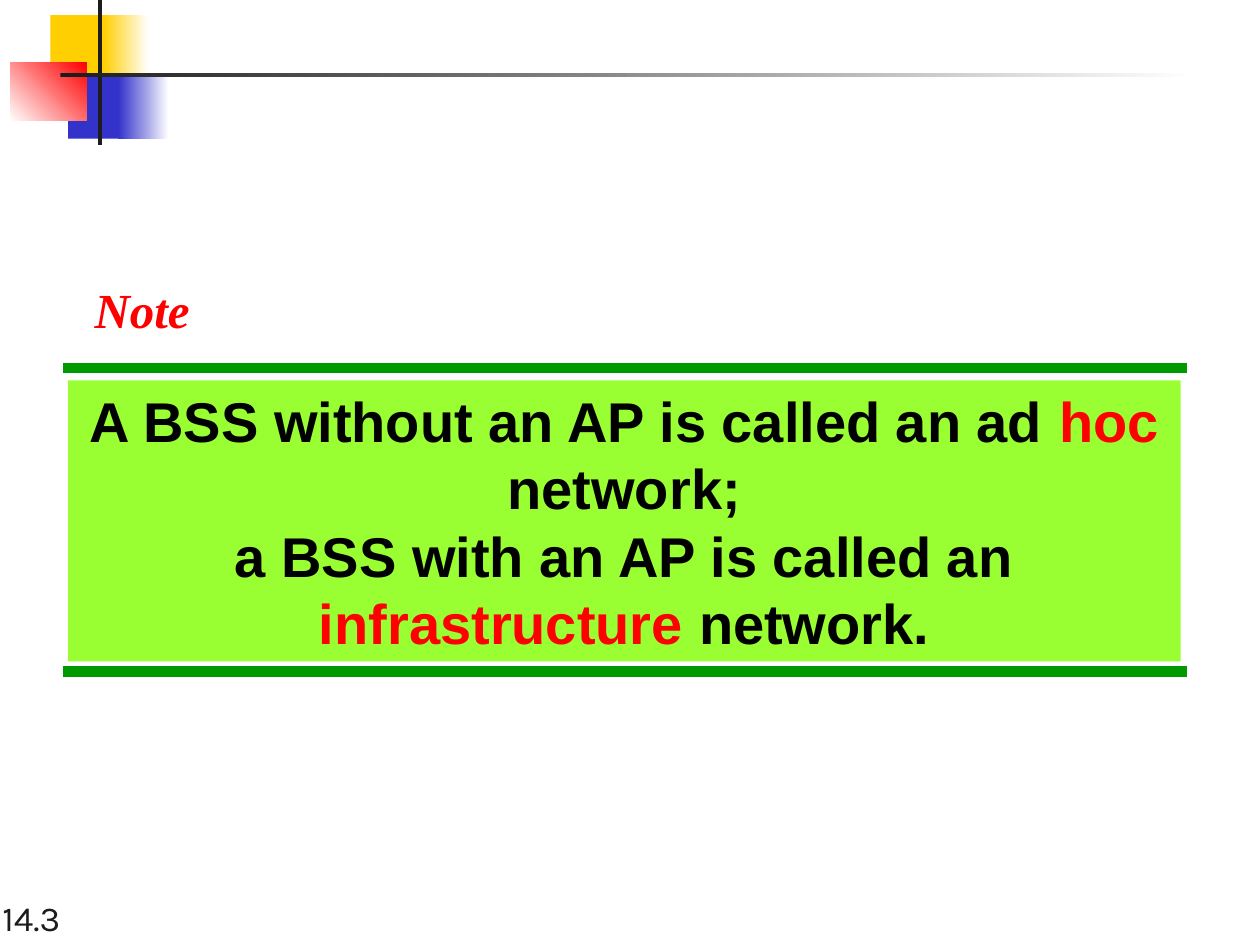
"""Builds a note slide comparing ad hoc and infrastructure networks."""
from dataclasses import dataclass

from lxml.etree import SubElement
from pptx import Presentation
from pptx.dml.color import RGBColor
from pptx.enum.shapes import MSO_CONNECTOR, MSO_SHAPE
from pptx.enum.text import MSO_ANCHOR, MSO_AUTO_SIZE, PP_ALIGN
from pptx.oxml.ns import qn
from pptx.util import Inches, Pt


@dataclass(frozen=True)
class Theme:
    black: str = "000000"
    ink: str = "1C1C1C"
    white: str = "FFFFFF"
    red: str = "FF0000"
    yellow: str = "FFCF01"
    blue: str = "3333CC"
    green: str = "009900"
    lime: str = "99FF33"
    statement_size: int = 32
    heading_size: int = 28
    number_size: int = 20
    rule_width: int = 6


theme = Theme()


def add_block(left, top, width, height, colors, angle=0):
    block = page.shapes.add_shape(
        MSO_SHAPE.RECTANGLE, Inches(left), Inches(top), Inches(width), Inches(height)
    )
    block.shadow.inherit = False
    block.line.fill.background()
    if len(colors) == 1:
        block.fill.solid()
        block.fill.fore_color.rgb = RGBColor.from_string(colors[0])
    else:
        block.fill.gradient()
        block.fill.gradient_angle = angle
        for stop, color in zip(block.fill.gradient_stops, colors):
            stop.color.rgb = RGBColor.from_string(color)
    return block


def add_span(para, text, font, size, color, bold=False, italic=False):
    span = para.add_run()
    span.text = text
    span.font.name = font
    span.font.size = Pt(size)
    span.font.bold = bold
    span.font.italic = italic
    span.font.color.rgb = RGBColor.from_string(color)


deck = Presentation()
deck.slide_width = Inches(10)
deck.slide_height = Inches(7.5)
page = deck.slides.add_slide(deck.slide_layouts[5])

number_box = page.shapes.add_textbox(Inches(-0.08), Inches(7), Inches(2.08), Inches(0.5))
number_box.text_frame.word_wrap = True
number_box.text_frame.vertical_anchor = MSO_ANCHOR.BOTTOM
add_span(number_box.text_frame.paragraphs[0], "14.3", "Karla", theme.number_size, theme.ink)

ornament = [
    (0.4, 0.12, 0.48, 0.52, [theme.yellow], 0),
    (0.82, 0.12, 0.36, 0.52, [theme.yellow, theme.white], 0),
    (0.54, 0.58, 0.46, 0.52, [theme.blue], 0),
    (0.94, 0.58, 0.4, 0.52, [theme.blue, theme.white], 0),
    (0.08, 0.5, 0.61, 0.46, [theme.white, theme.red], 45),
    (0.78, 0, 0.03, 1.15, [theme.ink], 0),
    (0.48, 0.58, 9, 0.03, [theme.ink, theme.white], 0),
]
for block_values in ornament:
    add_block(*block_values)

for height in (2.92, 5.33):
    rule = page.shapes.add_connector(
        MSO_CONNECTOR.STRAIGHT, Inches(0.5), Inches(height), Inches(9.42), Inches(height)
    )
    rule.line.width = Pt(theme.rule_width)
    rule.line.color.rgb = RGBColor.from_string(theme.green)
    SubElement(rule._element.spPr, qn("a:effectLst"))

statement = add_block(0.54, 3.02, 8.83, 2.23, [theme.lime])
frame = statement.text_frame
frame.word_wrap = True
frame.vertical_anchor = MSO_ANCHOR.TOP
frame.auto_size = MSO_AUTO_SIZE.SHAPE_TO_FIT_TEXT
sentences = [
    ("A BSS without an AP is called an ad", " hoc", " network;"),
    ("a BSS with an AP is called an", " infrastructure", " network."),
]
for index, sentence in enumerate(sentences):
    para = frame.add_paragraph() if index else frame.paragraphs[0]
    para.alignment = PP_ALIGN.CENTER
    for text, color in zip(sentence, (theme.black, theme.red, theme.black)):
        add_span(para, text, "Arial", theme.statement_size, color, bold=True)

heading = page.shapes.title
heading.left, heading.top = Inches(0.65), Inches(2.17)
heading.width, heading.height = Inches(0.96), Inches(0.57)
heading.text_frame.word_wrap = False
heading.text_frame.vertical_anchor = MSO_ANCHOR.TOP
heading.text_frame.auto_size = MSO_AUTO_SIZE.SHAPE_TO_FIT_TEXT
para = heading.text_frame.paragraphs[0]
para.alignment = PP_ALIGN.LEFT
add_span(para, "Note", "Times New Roman", theme.heading_size, theme.red, bold=True, italic=True)

deck.save("out.pptx")
